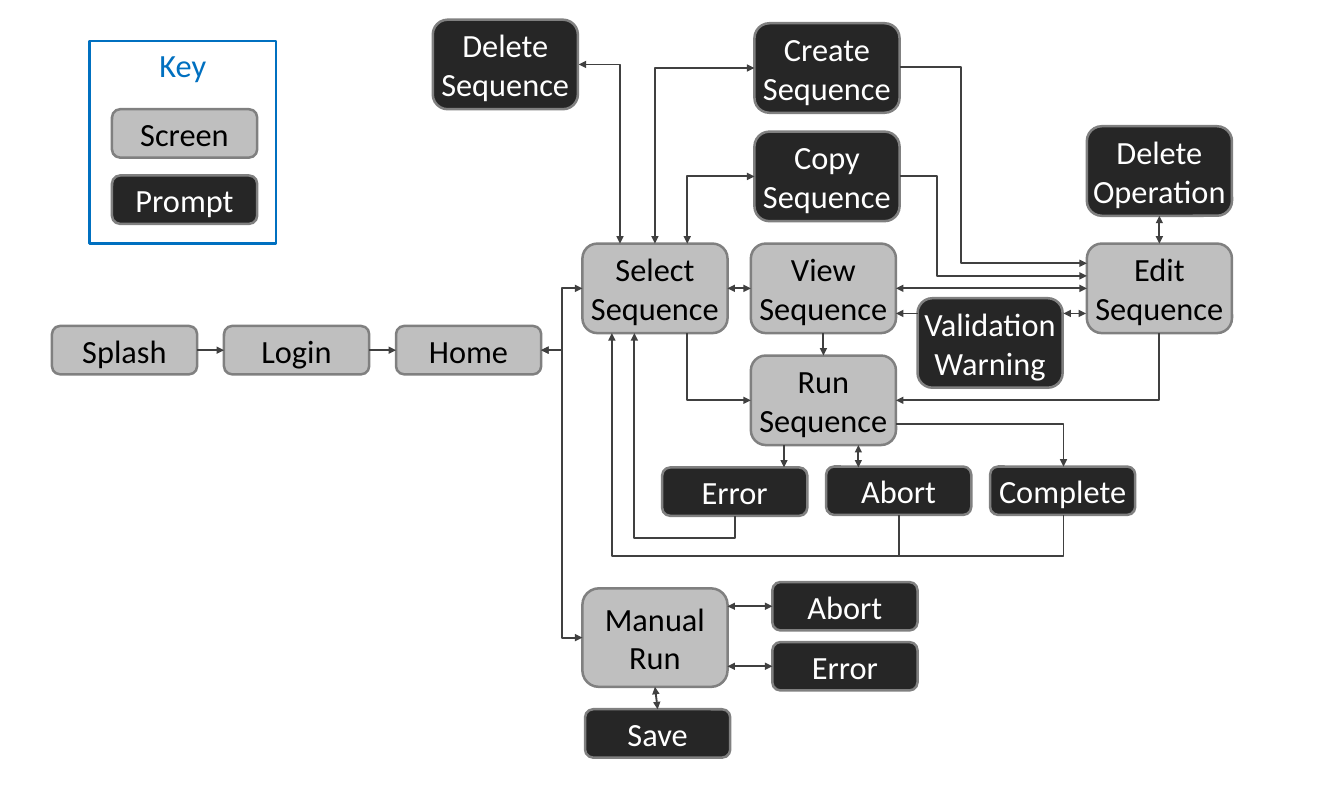
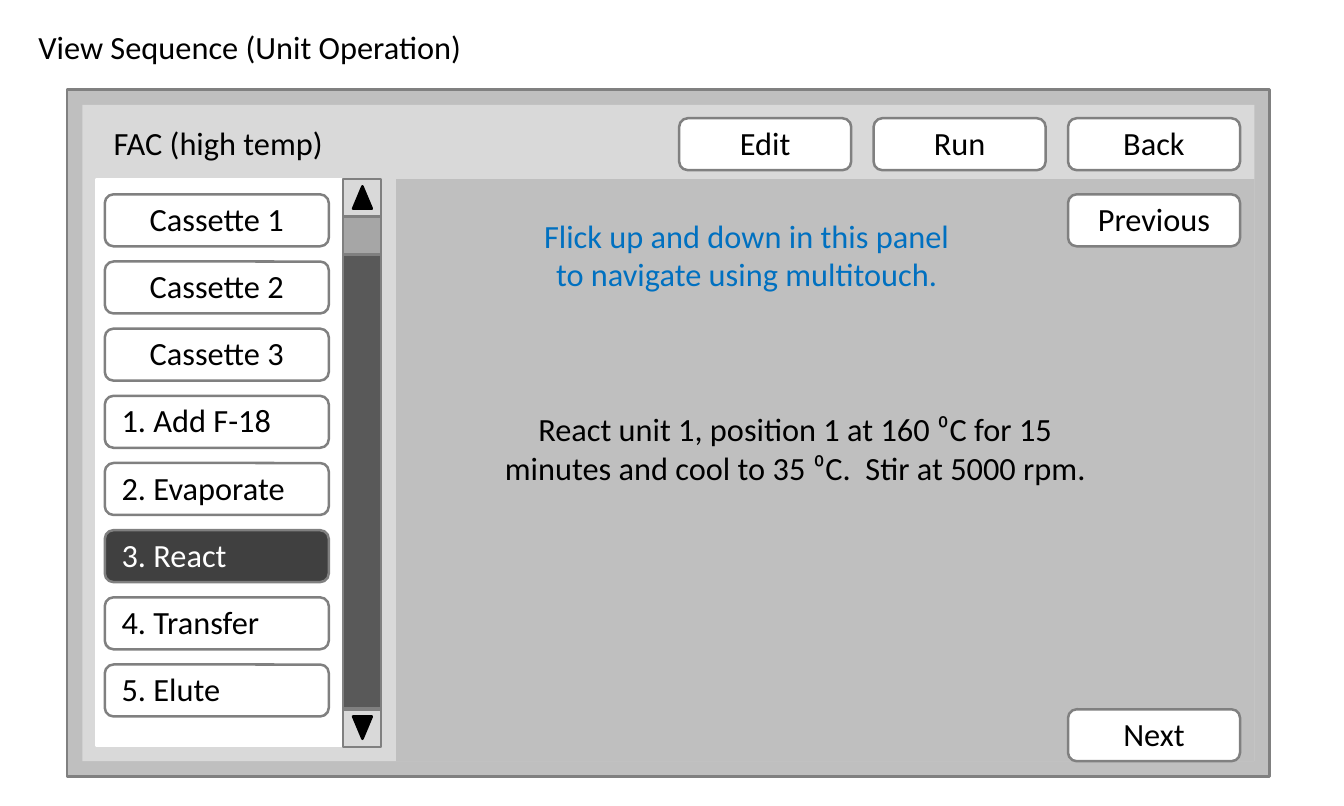
"""Build a screen-flow diagram and a touch-screen mock-up of one of its screens."""
from pptx import Presentation
from pptx.dml.color import RGBColor
from pptx.enum.shapes import MSO_CONNECTOR, MSO_SHAPE
from pptx.enum.text import MSO_ANCHOR, MSO_AUTO_SIZE, PP_ALIGN
from pptx.oxml.ns import qn
from pptx.util import Inches, Pt
from lxml import etree

ROUNDED, RECTANGLE, TRIANGLE = (
    MSO_SHAPE.ROUNDED_RECTANGLE, MSO_SHAPE.RECTANGLE, MSO_SHAPE.ISOSCELES_TRIANGLE)
STRAIGHT, ELBOW = MSO_CONNECTOR.STRAIGHT, MSO_CONNECTOR.ELBOW
LEFT, CENTER = PP_ALIGN.LEFT, PP_ALIGN.CENTER
TOP, MIDDLE = MSO_ANCHOR.TOP, MSO_ANCHOR.MIDDLE
FIT_TEXT = MSO_AUTO_SIZE.SHAPE_TO_FIT_TEXT
SITE_TOP, SITE_LEFT, SITE_BOTTOM, SITE_RIGHT = range(4)

FONT, TEXT_SIZE = "Calibri", 26
BLACK, WHITE, BLUE = "000000", "FFFFFF", "0070C0"
SILVER, PALE, OUTLINE = "BFBFBF", "D9D9D9", "808080"
THUMB, TRACK, SELECTED, CHARCOAL = "A6A6A6", "595959", "404040", "262626"
SCREEN, PROMPT = (SILVER, BLACK), (CHARCOAL, WHITE)
OUTLINE_WIDTH, ARROW_WIDTH = 2, 1.5
NONE, START, END, BOTH = (), ("headEnd",), ("tailEnd",), ("headEnd", "tailEnd")

NODE_WIDTH, TALL, SHORT = 1.62, 1, 0.54
NODES = {
    "splash": ("Splash", 0.58, 3.64, SHORT, SCREEN),
    "login": ("Login", 2.5, 3.64, SHORT, SCREEN),
    "home": ("Home", 4.42, 3.64, SHORT, SCREEN),
    "select": ("Select Sequence", 6.5, 2.72, TALL, SCREEN),
    "view": ("View Sequence", 8.38, 2.72, TALL, SCREEN),
    "run": ("Run Sequence", 8.38, 3.97, TALL, SCREEN),
    "edit": ("Edit Sequence", 12.13, 2.72, TALL, SCREEN),
    "manual": ("Manual\nRun", 6.5, 6.57, 1.1, SCREEN),
    "delete": ("Delete Sequence", 4.83, 0.22, TALL, PROMPT),
    "create": ("Create Sequence", 8.42, 0.26, TALL, PROMPT),
    "copy": ("Copy Sequence", 8.42, 1.47, TALL, PROMPT),
    "operation": ("Delete Operation", 12.13, 1.41, TALL, PROMPT),
    "warning": ("Validation Warning", 10.24, 3.33, TALL, PROMPT),
    "run error": ("Error", 7.39, 5.22, SHORT, PROMPT),
    "run abort": ("Abort", 9.22, 5.21, SHORT, PROMPT),
    "complete": ("Complete", 11.05, 5.21, SHORT, PROMPT),
    "manual abort": ("Abort", 8.62, 6.5, SHORT, PROMPT),
    "manual error": ("Error", 8.62, 7.17, SHORT, PROMPT),
    "save": ("Save", 6.53, 7.92, SHORT, PROMPT),
    "screen key": ("Screen", 1.25, 1.22, SHORT, SCREEN),
    "prompt key": ("Prompt", 1.25, 1.96, SHORT, PROMPT),
}
LINKS = [
    ("splash", SITE_RIGHT, "login", SITE_LEFT, END),
    ("login", SITE_RIGHT, "home", SITE_LEFT, END),
    ("select", SITE_RIGHT, "view", SITE_LEFT, BOTH),
    ("view", SITE_RIGHT, "edit", SITE_LEFT, BOTH),
    ("view", SITE_BOTTOM, "run", SITE_TOP, END),
    ("edit", SITE_TOP, "operation", SITE_BOTTOM, BOTH),
    ("manual", SITE_BOTTOM, "save", SITE_TOP, BOTH),
]
SHORT_ARROWS = [
    ((11.87, 3.5), (12.12, 3.5), BOTH),
    ((10, 3.5), (10.25, 3.5), START),
    ((9.58, 4.97), (9.58, 5.22), BOTH),
    ((8.75, 4.97), (8.75, 5.22), END),
]
CORNERS = [
    ((10.03, 6.21), (11.87, 5.75), NONE),
    ((8.38, 4.47), (7.67, 3.72), START),
    ((10, 4.47), (12.94, 3.72), START),
    ((8.42, 1.97), (7.67, 2.72), BOTH),
    ((8.42, 0.76), (7.31, 2.72), BOTH),
    ((6.46, 0.72), (6.92, 2.72), BOTH),
    ((10, 4.73), (11.87, 5.21), END),
]
SIDE_STEPS = [
    ((6.04, 3.91), (6.5, 3.22), 6.27, BOTH),
    ((6.04, 3.91), (6.5, 7.12), 6.27, BOTH),
    ((10.04, 1.97), (12.13, 3.08), 10.46, END),
    ((10.04, 0.75), (12.13, 2.94), 10.73, END),
]
LOOPS = [
    ((10.03, 5.75), (6.83, 3.72), 6.21, END),
    ((8.2, 5.76), (7.08, 3.72), 6.01, END),
]

BUTTON_HEIGHT, BUTTON_WIDTH = 0.58, 1.92
LIST_LEFT, LIST_TOP, LIST_PITCH, LIST_WIDTH = 1.17, 2.17, 0.75, 2.5
TOOLBAR_LEFT, TOOLBAR_TOP, TOOLBAR_PITCH = 7.58, 1.32, 2.17
SCROLL_LEFT, SCROLL_WIDTH = 3.83, 0.42
CASSETTES = ["Cassette 1", "Cassette 2", "Cassette 3"]
STEPS = ["1. Add F-18", "2. Evaporate", "3. React", "4. Transfer", "5. Elute"]
CURRENT_STEP = "3. React"


def rgb(value):
    return RGBColor.from_string(value)


def write(frame, text, color, align):
    frame.word_wrap = True
    frame.text = text
    for paragraph in frame.paragraphs:
        paragraph.alignment = align
        paragraph.font.name = FONT
        paragraph.font.size = Pt(TEXT_SIZE)
        paragraph.font.color.rgb = rgb(color)


def add_block(slide, kind, left, top, width, height, fill, outline=OUTLINE):
    block = slide.shapes.add_shape(
        kind, Inches(left), Inches(top), Inches(width), Inches(height))
    block.shadow.inherit = False
    if fill:
        block.fill.solid()
        block.fill.fore_color.rgb = rgb(fill)
    else:
        block.fill.background()
    if outline:
        block.line.color.rgb = rgb(outline)
        block.line.width = Pt(OUTLINE_WIDTH)
    else:
        block.line.fill.background()
    return block


def add_label(block, text, color, align=CENTER, anchor=MIDDLE, indent=0, lift=0):
    frame = block.text_frame
    frame.margin_left, frame.margin_right = Inches(indent), 0
    frame.margin_top, frame.margin_bottom = 0, Inches(lift)
    frame.vertical_anchor = anchor
    write(frame, text, color, align)


def add_caption(slide, text, left, top, width, height, color=BLACK, align=LEFT):
    caption = slide.shapes.add_textbox(
        Inches(left), Inches(top), Inches(width), Inches(height))
    caption.text_frame.auto_size = FIT_TEXT
    write(caption.text_frame, text, color, align)


def add_line(slide, kind, start, end, heads):
    line = slide.shapes.add_connector(kind, *(Inches(n) for n in (*start, *end)))
    line.line.color.rgb = rgb(SELECTED)
    line.line.width = Pt(ARROW_WIDTH)
    stroke = line.line._get_or_add_ln()
    for head in heads:
        etree.SubElement(stroke, qn(f"a:{head}"), type="triangle")
    etree.SubElement(line._element.spPr, qn("a:effectLst"))
    return line


def add_corner(slide, start, end, heads):
    corner = add_line(slide, ELBOW, start, end, heads)
    corner._element.spPr.find(qn("a:prstGeom")).set("prst", "bentConnector2")


def set_bend(line, share):
    guides = line._element.spPr.find(qn("a:prstGeom")).find(qn("a:avLst"))
    etree.SubElement(guides, qn("a:gd"), name="adj1", fmla=f"val {round(share * 100000)}")


def add_side_step(slide, start, end, bend_x, heads):
    step = add_line(slide, ELBOW, start, end, heads)
    set_bend(step, (bend_x - start[0]) / (end[0] - start[0]))


def add_loop(slide, start, end, bend_y, heads):
    middle_x, middle_y = (start[0] + end[0]) / 2, (start[1] + end[1]) / 2
    half_x, half_y = (start[0] - end[0]) / 2, (start[1] - end[1]) / 2
    loop = add_line(slide, ELBOW, (middle_x + half_y, middle_y - half_x),
                    (middle_x - half_y, middle_y + half_x), heads)
    loop._element.spPr.find(qn("a:xfrm")).set("rot", "5400000")
    set_bend(loop, (bend_y - start[1]) / (end[1] - start[1]))


def add_node(slide, text, left, top, height, style):
    fill, color = style
    node = add_block(slide, ROUNDED, left, top, NODE_WIDTH, height, fill)
    add_label(node, text, color)
    return node


def add_button(slide, text, left, top, width=BUTTON_WIDTH, align=CENTER, selected=False):
    fill, color = (SELECTED, WHITE) if selected else (WHITE, BLACK)
    button = add_block(slide, ROUNDED, left, top, width, BUTTON_HEIGHT, fill)
    add_label(button, text, color, align, indent=0.16 if align == LEFT else 0, lift=0.04)


def add_scroll_button(slide, top, rotation):
    add_block(slide, RECTANGLE, SCROLL_LEFT, top, SCROLL_WIDTH, SCROLL_WIDTH, PALE)
    pointer = add_block(
        slide, TRIANGLE, SCROLL_LEFT + 0.11, top + 0.08, 0.21, 0.25, BLACK, BLACK)
    pointer.rotation = rotation


def build_flow(slide):
    key = add_block(slide, RECTANGLE, 1, 0.46, 2.08, 2.26, None, BLUE)
    add_label(key, "Key", BLUE, anchor=TOP)
    key.text_frame.margin_top = Inches(0.05)
    nodes = {name: add_node(slide, *node) for name, node in NODES.items()}
    for source, source_site, target, target_site, heads in LINKS:
        link = add_line(slide, STRAIGHT, (0, 0), (1, 1), heads)
        link.begin_connect(nodes[source], source_site)
        link.end_connect(nodes[target], target_site)
    for name in ("manual abort", "manual error"):
        _, left, top, height, _ = NODES[name]
        y = top + height / 2
        arrow = add_line(slide, STRAIGHT, (8.12, y), (left, y), BOTH)
        arrow.end_connect(nodes[name], SITE_LEFT)
    for start, end, heads in SHORT_ARROWS:
        add_line(slide, STRAIGHT, start, end, heads)
    for corner in CORNERS:
        add_corner(slide, *corner)
    for step in SIDE_STEPS:
        add_side_step(slide, *step)
    for loop in LOOPS:
        add_loop(slide, *loop)


def build_view_screen(slide):
    add_block(slide, RECTANGLE, 0.75, 1, 13.42, 7.67, SILVER)
    add_block(slide, RECTANGLE, 0.92, 1.17, 13.08, 7.33, PALE, None)
    add_block(slide, RECTANGLE, 1.08, 2, 3.17, 6.33, WHITE, WHITE)
    add_block(slide, RECTANGLE, 4.42, 2, 9.58, 6.5, SILVER, None)
    add_caption(slide, "View Sequence (Unit Operation)", 0.33, 0.25, 8, 0.54)
    add_caption(slide, "FAC (high temp)", 1.17, 1.33, 3, 0.54)

    add_block(slide, RECTANGLE, SCROLL_LEFT, 2.58, SCROLL_WIDTH, 5.33, TRACK)
    add_block(slide, RECTANGLE, SCROLL_LEFT, 2.42, SCROLL_WIDTH, SCROLL_WIDTH, THUMB)
    add_scroll_button(slide, 2, 0)
    add_scroll_button(slide, 7.92, 180)

    for row, text in enumerate(CASSETTES + STEPS):
        add_button(slide, text, LIST_LEFT, LIST_TOP + row * LIST_PITCH, LIST_WIDTH,
                   CENTER if text in CASSETTES else LEFT, text == CURRENT_STEP)
    for column, text in enumerate(["Edit", "Run", "Back"]):
        add_button(slide, text, TOOLBAR_LEFT + column * TOOLBAR_PITCH, TOOLBAR_TOP)
    for text, top in (("Previous", LIST_TOP), ("Next", 7.92)):
        add_button(slide, text, TOOLBAR_LEFT + 2 * TOOLBAR_PITCH, top)

    add_caption(slide, "Flick up and down in this panel to navigate using multitouch.",
                5.92, 2.36, 4.83, 0.98, BLUE, CENTER)
    add_caption(slide, "React unit 1, position 1 at 160 ⁰C for 15 minutes and cool "
                "to 35 ⁰C.  Stir at 5000 rpm.", 5.35, 4.52, 7.06, 0.98, BLACK, CENTER)


def main():
    deck = Presentation()
    deck.slide_width, deck.slide_height = Inches(15), Inches(9)
    blank = deck.slide_layouts[6]
    for build in (build_flow, build_view_screen):
        build(deck.slides.add_slide(blank))
    deck.save("out.pptx")


if __name__ == "__main__":
    main()
